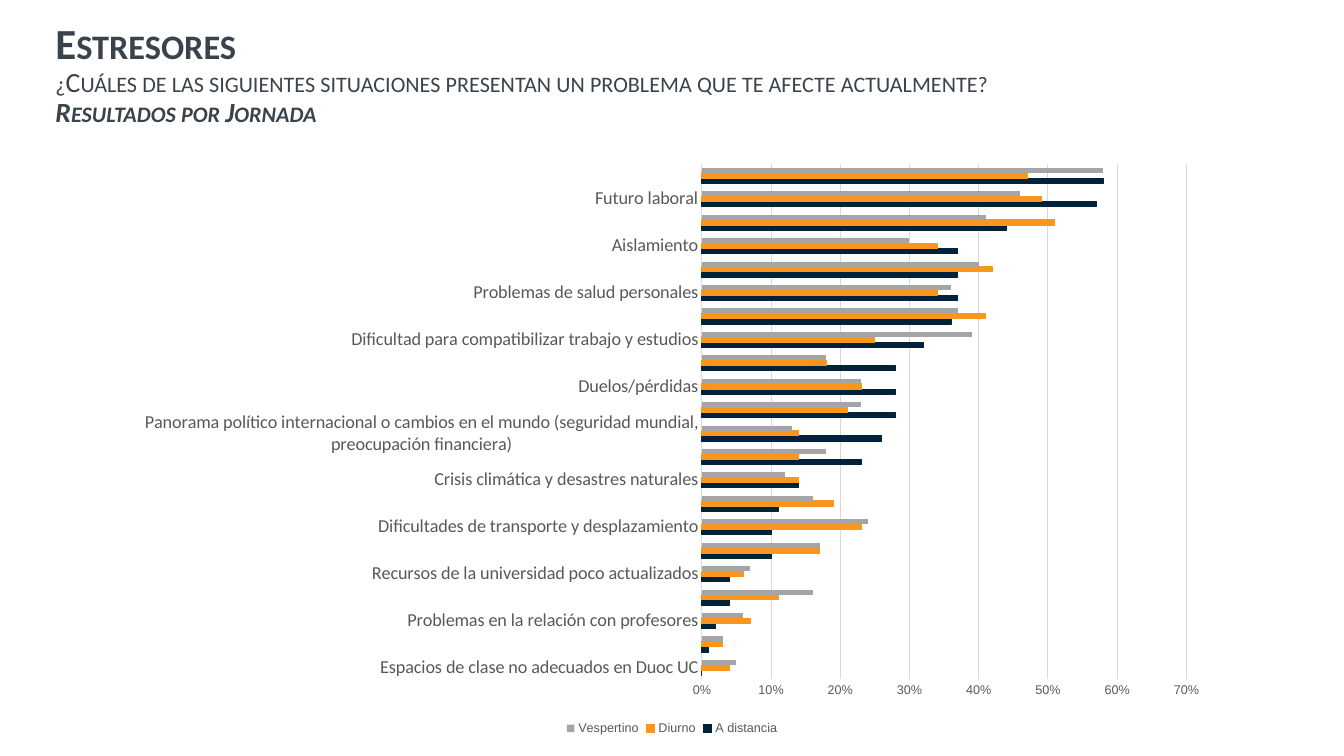
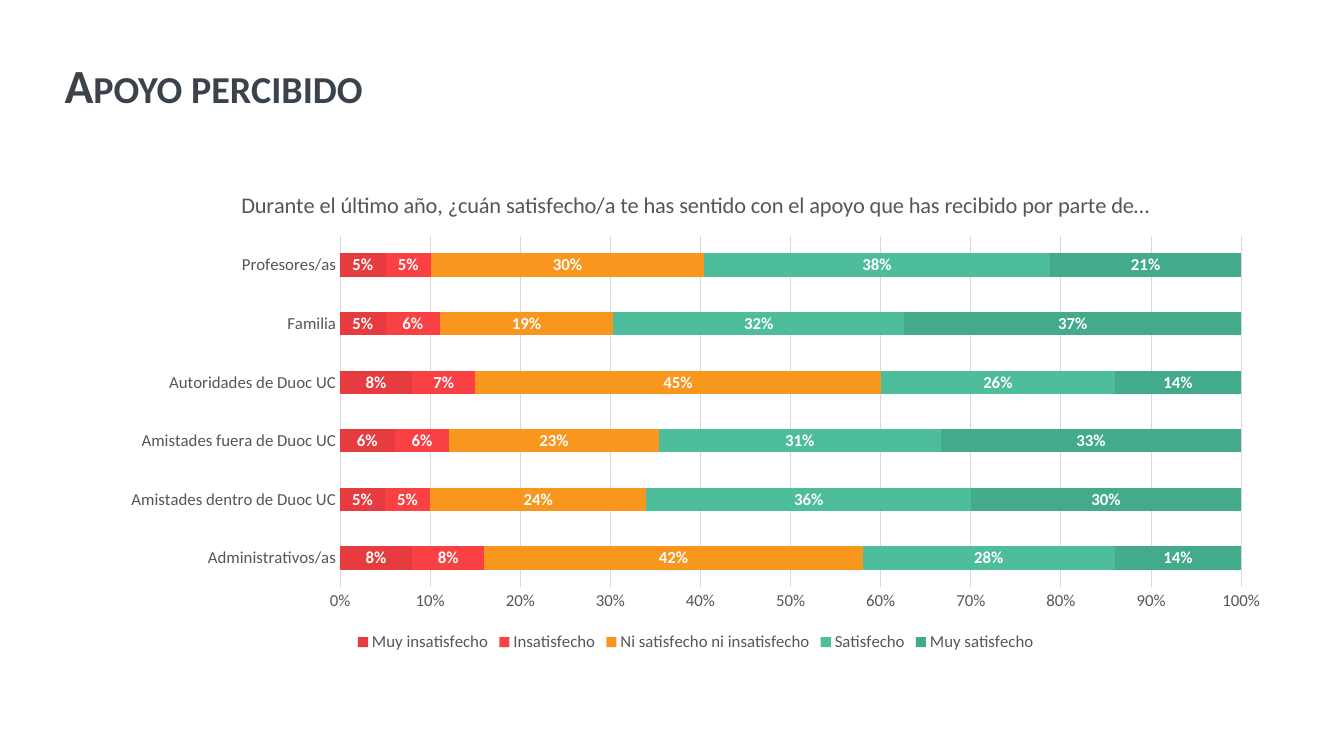
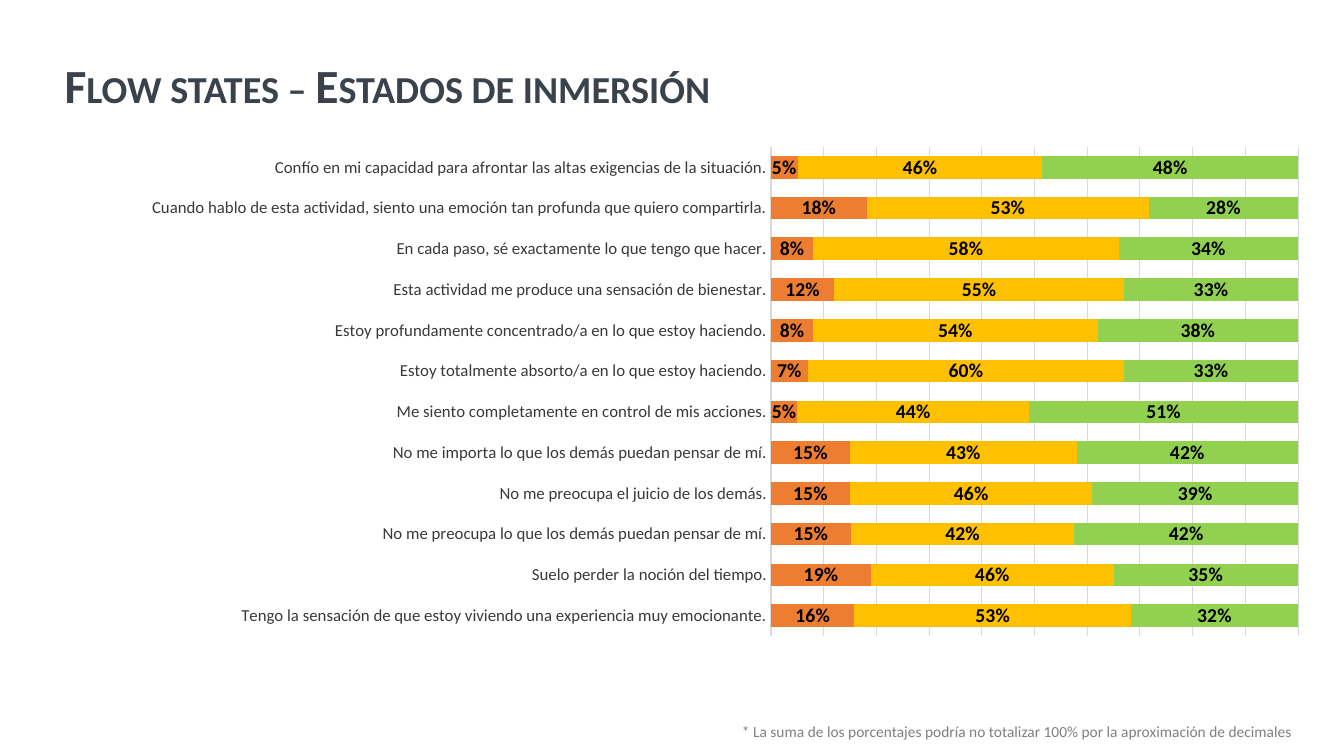
"""Build three survey slides with native bar charts."""
from dataclasses import dataclass
from typing import NamedTuple

from lxml import etree
from pptx import Presentation
from pptx.chart.data import CategoryChartData
from pptx.dml.color import RGBColor
from pptx.enum.chart import XL_CHART_TYPE, XL_LABEL_POSITION, XL_LEGEND_POSITION, XL_TICK_MARK
from pptx.enum.text import MSO_ANCHOR, MSO_AUTO_SIZE, PP_ALIGN
from pptx.util import Inches, Pt

CLUSTER = XL_CHART_TYPE.BAR_CLUSTERED
STACK = XL_CHART_TYPE.BAR_STACKED_100
CENTER = XL_LABEL_POSITION.CENTER
BOTTOM = XL_LEGEND_POSITION.BOTTOM
NO_TICK = XL_TICK_MARK.NONE
MIDDLE = MSO_ANCHOR.MIDDLE
NO_FIT = MSO_AUTO_SIZE.NONE
LEFT, MID = PP_ALIGN.LEFT, PP_ALIGN.CENTER

WIDE, HIGH = Inches(13.33), Inches(7.5)
COL, ROW = WIDE / 100, HIGH / 100
SANS, ARIAL = "Calibri", "Arial"
INK, GRAY, SLATE, GRID = "3A434C", "595959", "56565A", "D9D9D9"
ORANGE, WHITE, BLACK = "F8961E", "FFFFFF", "000000"


class Area(NamedTuple):
    """Hold left, top, width and height in hundredths of the slide."""
    left: float
    top: float
    wide: float
    high: float

    def box(self) -> tuple[int, int, int, int]:
        """Return the area in slide units."""
        return (round(self.left * COL), round(self.top * ROW),
                round(self.wide * COL), round(self.high * ROW))


class Face(NamedTuple):
    """Hold the look of some text."""
    size: float
    color: str
    name: str = SANS
    bold: bool = False
    slant: bool = False


class Line(NamedTuple):
    """Hold one line of a title."""
    text: str
    face: Face


class Bars(NamedTuple):
    """Hold one data series, with values in percent."""
    name: str
    color: str
    vals: list[int]
    edge: bool = False


@dataclass
class Graph:
    """Describe one bar chart."""
    area: Area
    kind: int
    cats: list[str]
    bars: list[Bars]
    gap: int
    top: float
    base: Face
    names: Face
    scale: Face | None = None
    marks: Face | None = None
    key: Face | None = None
    head: Line | None = None
    plot: tuple[float, ...] = ()
    flip: bool = False


@dataclass
class Page:
    """Describe one slide."""
    area: Area
    lines: list[Line]
    graph: Graph
    foot: float = 0.05
    note: str = ""


def tint(code: str) -> RGBColor:
    """Turn a hex string into a colour."""
    return RGBColor.from_string(code)


def style(font, face: Face) -> None:
    """Apply a face to a font."""
    font.name, font.size = face.name, Pt(face.size)
    font.bold, font.italic = face.bold, face.slant
    font.color.rgb = tint(face.color)


def stroke(line, color: str) -> None:
    """Draw a thin line in one colour."""
    line.color.rgb = tint(color)
    line.width = Pt(0.75)


def write(frame, lines: list[Line], align: int, caps: bool = False) -> None:
    """Fill a text frame with one paragraph per line."""
    frame.word_wrap, frame.auto_size = True, NO_FIT
    frame.vertical_anchor = MIDDLE
    for i, line in enumerate(lines):
        para = frame.add_paragraph() if i else frame.paragraphs[0]
        para.text, para.alignment, para.line_spacing = line.text, align, 0.9
        style(para.font, line.face)
        if caps:
            para._p.pPr.find("{*}defRPr").set("cap", "small")


def place(chart, share: tuple[float, ...]) -> None:
    """Fix the inner plot area as shares of the chart."""
    area = chart._chartSpace.chart.plotArea
    space = area.tag.split("}")[0] + "}"
    for old in area.findall(space + "layout"):
        area.remove(old)
    outer = etree.Element(space + "layout")
    inner = etree.SubElement(outer, space + "manualLayout")
    pairs = [("layoutTarget", "inner"), ("xMode", "edge"), ("yMode", "edge"),
             *zip("xywh", map(str, share))]
    for tag, val in pairs:
        etree.SubElement(inner, space + tag).set("val", val)
    area.insert(0, outer)


def axes(chart, graph: Graph) -> None:
    """Format both axes."""
    cat, val = chart.category_axis, chart.value_axis
    for axis in (cat, val):
        axis.major_tick_mark = axis.minor_tick_mark = NO_TICK
    style(cat.tick_labels.font, graph.names)
    stroke(cat.format.line, GRID)
    cat.reverse_order = graph.flip
    val.minimum_scale, val.maximum_scale, val.major_unit = 0, graph.top, 0.1
    val.has_major_gridlines = True
    stroke(val.major_gridlines.format.line, GRID)
    val.format.line.fill.background()
    if graph.scale:
        labels = val.tick_labels
        style(labels.font, graph.scale)
        labels.number_format, labels.number_format_is_linked = "0%", False
    else:
        val.visible = False


def draw(slide, graph: Graph) -> None:
    """Add a bar chart to a slide."""
    data = CategoryChartData(number_format="0%")
    data.categories = graph.cats
    for bar in graph.bars:
        data.add_series(bar.name, [v / 100 for v in bar.vals])
    chart = slide.shapes.add_chart(graph.kind, *graph.area.box(), data).chart
    style(chart.font, graph.base)
    chart.has_title = graph.head is not None
    if graph.head:
        para = chart.chart_title.text_frame.paragraphs[0]
        para.text = graph.head.text
        style(para.font, graph.head.face)
    chart.has_legend = graph.key is not None
    if graph.key:
        chart.legend.position = BOTTOM
        chart.legend.include_in_layout = False
        style(chart.legend.font, graph.key)
    plot = chart.plots[0]
    plot.gap_width, plot.vary_by_categories = graph.gap, False
    plot.overlap = 100 if graph.kind == STACK else 0
    for bar, item in zip(graph.bars, plot.series):
        item.format.fill.solid()
        item.format.fill.fore_color.rgb = tint(bar.color)
        if bar.edge:
            stroke(item.format.line, bar.color)
        if graph.marks:
            labels = item.data_labels
            labels.show_value, labels.position = True, CENTER
            labels.number_format, labels.number_format_is_linked = "0%", False
            style(labels.font, graph.marks)
    axes(chart, graph)
    if graph.plot:
        place(chart, graph.plot)


def build(deck, page: Page) -> None:
    """Add one slide."""
    slide = deck.slides.add_slide(deck.slide_layouts[5])
    title = slide.shapes.title
    title.left, title.top, title.width, title.height = page.area.box()
    title.text_frame.margin_bottom = Inches(page.foot)
    write(title.text_frame, page.lines, LEFT, caps=True)
    draw(slide, page.graph)
    if page.note:
        box = slide.shapes.add_textbox(*Area(51.46, 94.8, 48.46, 4.13).box())
        write(box.text_frame, [Line(page.note, Face(11, "7F7F7F"))], MID)


HEAD = Area(4.05, 5.33, 95.5, 12.53)
BIG = Face(34, INK, bold=True)
TEXT = Face(12, SLATE)
SMALL = Face(9, GRAY, ARIAL)

STRESS = Graph(
    Area(9.15, 20.13, 81.7, 77.73), CLUSTER,
    ["Espacios de clase no adecuados en Duoc UC",
     "Experiencias de discriminación en Duoc UC",
     "Problemas en la relación con profesores",
     "Problemas de inseguridad al entrar y salir de la sede (delincuencia)",
     "Recursos de la universidad poco actualizados",
     "Carga académica exigente",
     "Dificultades de transporte y desplazamiento",
     "Problemas en la relación con compañeros",
     "Crisis climática y desastres naturales",
     "Problemas de inseguridad en tu barrio",
     "Panorama político internacional o cambios en el mundo "
     "(seguridad mundial, preocupación financiera)",
     "Problemas de salud de un ser querido",
     "Duelos/pérdidas",
     "Panorama político y social del país",
     "Dificultad para compatibilizar trabajo y estudios",
     "Problemas en relación sentimental",
     "Problemas de salud personales",
     "Problemas en relaciones familiares",
     "Aislamiento",
     "Problemas de autoestima",
     "Futuro laboral",
     "Situación económica compleja"],
    [Bars("A distancia", "00223A",
          [0, 1, 2, 4, 4, 10, 10, 11, 14, 23, 26,
           28, 28, 28, 32, 36, 37, 37, 37, 44, 57, 58], True),
     Bars("Diurno", ORANGE,
          [4, 3, 7, 11, 6, 17, 23, 19, 14, 14, 14,
           21, 23, 18, 25, 41, 34, 42, 34, 51, 49, 47], True),
     Bars("Vespertino", "A5A5A5",
          [5, 3, 6, 16, 7, 17, 24, 16, 12, 18, 13,
           23, 23, 18, 39, 37, 36, 40, 30, 41, 46, 58])],
    150, 0.7, Face(10, BLACK, ARIAL), Face(13, GRAY), scale=SMALL, key=SMALL)

HELP = Graph(
    Area(8.03, 22.53, 87.47, 64.27), STACK,
    ["Administrativos/as", "Amistades dentro de Duoc UC",
     "Amistades fuera de Duoc UC", "Autoridades de Duoc UC",
     "Familia", "Profesores/as"],
    [Bars("Muy insatisfecho", "E63C3F", [8, 5, 6, 8, 5, 5]),
     Bars("Insatisfecho", "F94144", [8, 5, 6, 7, 6, 5]),
     Bars("Ni satisfecho ni insatisfecho", ORANGE, [42, 24, 23, 45, 19, 30]),
     Bars("Satisfecho", "4DBD9B", [28, 36, 31, 26, 32, 38]),
     Bars("Muy satisfecho", "43AA8B", [14, 30, 33, 14, 37, 21])],
    150, 1, TEXT, TEXT, scale=TEXT, marks=Face(12, WHITE, bold=True), key=TEXT,
    head=Line("Durante el último año, ¿cuán satisfecho/a te has sentido "
              "con el apoyo que has recibido por parte de…", Face(16, SLATE)))

FLOW = Graph(
    Area(2.85, 18.67, 95.65, 76.13), STACK,
    ["Confío en mi capacidad para afrontar las altas exigencias de la situación.",
     "Cuando hablo de esta actividad, siento una emoción tan profunda que quiero compartirla.",
     "En cada paso, sé exactamente lo que tengo que hacer.",
     "Esta actividad me produce una sensación de bienestar.",
     "Estoy profundamente concentrado/a en lo que estoy haciendo.",
     "Estoy totalmente absorto/a en lo que estoy haciendo.",
     "Me siento completamente en control de mis acciones.",
     "No me importa lo que los demás puedan pensar de mí.",
     "No me preocupa el juicio de los demás.",
     "No me preocupa lo que los demás puedan pensar de mí.",
     "Suelo perder la noción del tiempo.",
     "Tengo la sensación de que estoy viviendo una experiencia muy emocionante."],
    [Bars("Series 1", "ED7D31", [5, 18, 8, 12, 8, 7, 5, 15, 15, 15, 19, 16]),
     Bars("Series 2", "FFC000", [46, 53, 58, 55, 54, 60, 44, 43, 46, 42, 46, 53]),
     Bars("Series 3", "92D050", [48, 28, 34, 33, 38, 33, 51, 42, 39, 42, 35, 32])],
    80, 1, TEXT, Face(12, "3B3838"), marks=Face(14, BLACK, bold=True),
    plot=(0.57, 0.01, 0.41, 0.85), flip=True)

PAGES = [
    Page(Area(3.38, 5.73, 95.5, 12.53),
         [Line("Estresores", Face(30.6, INK, bold=True)),
          Line("¿Cuáles de las siguientes situaciones presentan un problema "
               "que te afecte actualmente?", Face(19.8, INK)),
          Line("Resultados por Jornada", Face(19.8, INK, bold=True, slant=True))],
         STRESS, foot=0.35),
    Page(HEAD, [Line("Apoyo percibido", BIG)], HELP),
    Page(HEAD, [Line("Flow states – Estados de inmersión", BIG)], FLOW,
         note="* La suma de los porcentajes podría no totalizar 100% "
              "por la aproximación de decimales"),
]


def main() -> None:
    """Build and save the deck."""
    deck = Presentation()
    deck.slide_width, deck.slide_height = WIDE, HIGH
    for page in PAGES:
        build(deck, page)
    deck.save("out.pptx")


if __name__ == "__main__":
    main()
